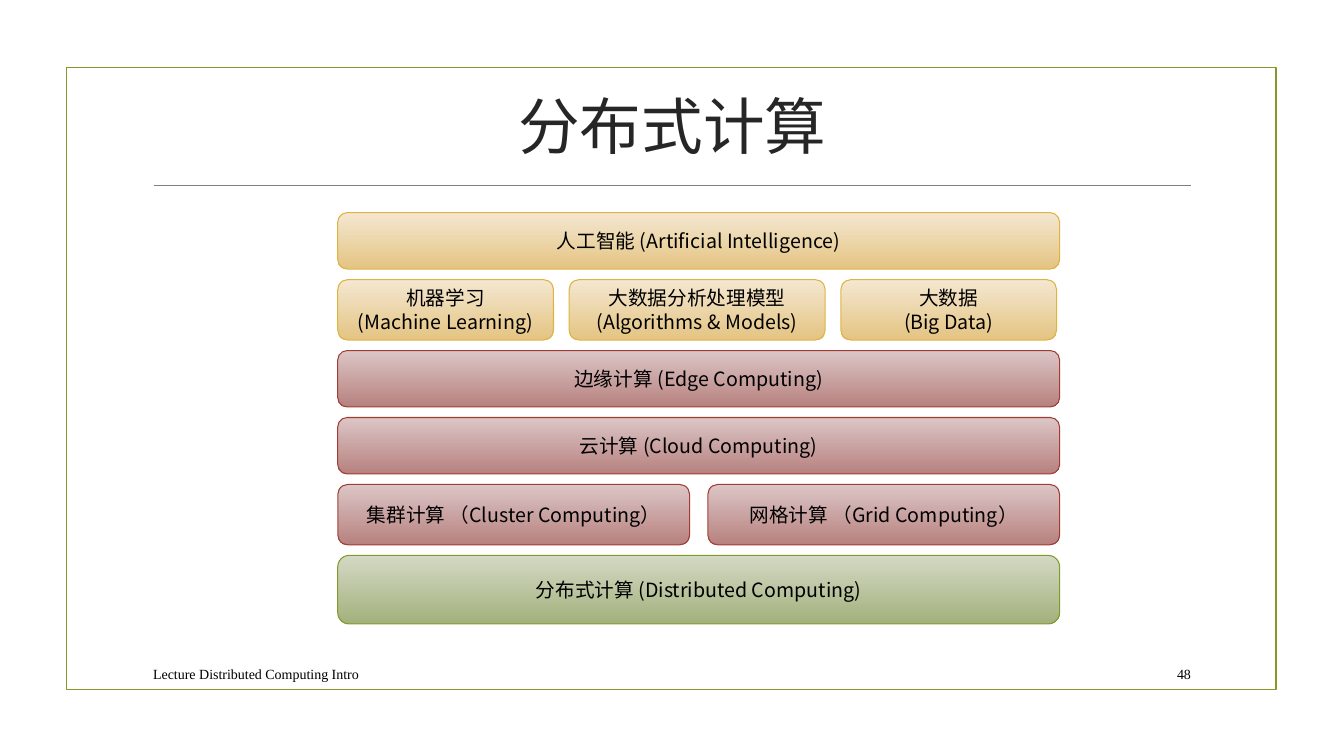
from lxml.etree import SubElement
from pptx import Presentation
from pptx.dml.color import RGBColor
from pptx.enum.shapes import MSO_CONNECTOR as Connector, MSO_SHAPE as Shape
from pptx.enum.text import MSO_ANCHOR as Anchor, PP_ALIGN as Align
from pptx.oxml.ns import qn
from pptx.util import Inches, Pt

COLORS = {
    "frame": "83992A",
    "rule": "7F7F7F",
    "title": "262626",
    "text": "000000",
}
# Each theme: gradient top, gradient bottom, outline
THEMES = {
    "gold": ("F4E7D1", "E4C482", "DEB340"),
    "red": ("DCC6C6", "B7817F", "A23C33"),
    "green": ("D3D9C4", "A3B17D", "83992A"),
}
SERIF, SANS = "Times New Roman", "Noto Sans CJK SC"

STACK_LEFT, STACK_TOP, STACK_BOTTOM = 3.35, 2.11, 6.19
FULL = 7.16

# Layers from top to bottom: theme, height, gap between boxes, (width, paragraphs)
LAYERS = [
    ("gold", 0.56, 0, [(FULL, ["人工智能 (Artificial Intelligence)"])]),
    ("gold", 0.6, 0.155, [
        (2.14, ["机器学习", "(Machine Learning)"]),
        (2.54, ["大数据分析处理模型(Algorithms & Models)"]),
        (2.14, ["大数据", "(Big Data)"]),
    ]),
    ("red", 0.56, 0, [(FULL, ["边缘计算 (Edge Computing)"])]),
    ("red", 0.56, 0, [(FULL, ["云计算 (Cloud Computing)"])]),
    ("red", 0.6, 0.18, [
        (3.49, ["集群计算 （Cluster Computing）"]),
        (3.49, ["网格计算 （Grid Computing）"]),
    ]),
    ("green", 0.68, 0, [(FULL, ["分布式计算 (Distributed Computing)"])]),
]


def rgb(value):
    return RGBColor.from_string(value)


def write(frame, paragraphs, size, font, color, align):
    frame.word_wrap = True
    frame.vertical_anchor = Anchor.MIDDLE
    for index, text in enumerate(paragraphs):
        paragraph = frame.add_paragraph() if index else frame.paragraphs[0]
        paragraph.alignment = align
        run = paragraph.add_run()
        run.text = text
        run.font.size = Pt(size)
        run.font.name = font
        run.font.color.rgb = rgb(color)
        # Chinese characters take the East Asian font
        SubElement(run.font._element, qn("a:ea")).set("typeface", SANS)


def add_label(slide, box, text, size, color, align):
    label = slide.shapes.add_textbox(*map(Inches, box))
    write(label.text_frame, [text], size, SERIF, color, align)


def add_frame(slide):
    border = slide.shapes.add_shape(
        Shape.RECTANGLE, Inches(0.66), Inches(0.67), Inches(12), Inches(6.17))
    border.shadow.inherit = False
    border.fill.background()
    border.line.color.rgb = rgb(COLORS["frame"])
    border.line.width = Pt(1.25)


def add_title_rule(slide):
    rule = slide.shapes.add_connector(
        Connector.STRAIGHT, Inches(1.53), Inches(1.84), Inches(11.81), Inches(1.84))
    rule.line.color.rgb = rgb(COLORS["rule"])
    rule.line.width = Pt(0.75)
    SubElement(rule._element.spPr, qn("a:effectLst"))


def add_block(slide, box, theme, paragraphs):
    top_color, bottom_color, outline = THEMES[theme]
    block = slide.shapes.add_shape(Shape.ROUNDED_RECTANGLE, *map(Inches, box))
    block.shadow.inherit = False
    block.fill.gradient()
    block.fill.gradient_angle = 270
    for stop, color in zip(block.fill.gradient_stops, (top_color, bottom_color)):
        stop.color.rgb = rgb(color)
    block.line.color.rgb = rgb(outline)
    block.line.width = Pt(0.75)
    write(block.text_frame, paragraphs, 14, SANS, COLORS["text"], Align.CENTER)


def add_stack(slide):
    heights = sum(height for _, height, _, _ in LAYERS)
    layer_gap = (STACK_BOTTOM - STACK_TOP - heights) / (len(LAYERS) - 1)
    top = STACK_TOP
    for theme, height, gap, blocks in LAYERS:
        left = STACK_LEFT
        for width, paragraphs in blocks:
            add_block(slide, (left, top, width, height), theme, paragraphs)
            left += width + gap
        top += height + layer_gap


def main():
    deck = Presentation()
    deck.slide_width, deck.slide_height = Inches(13.33), Inches(7.5)
    slide = deck.slides.add_slide(deck.slide_layouts[6])

    # Frame and heading
    add_frame(slide)
    add_title_rule(slide)
    add_label(slide, (1.42, 0.72, 10.5, 1.04), "分布式计算", 44,
              COLORS["title"], Align.CENTER)

    # Footer and page number
    add_label(slide, (1.42, 6.53, 7.99, 0.31), "Lecture Distributed Computing Intro",
              10, COLORS["text"], Align.LEFT)
    add_label(slide, (11.32, 6.53, 0.59, 0.31), "48", 10, COLORS["text"], Align.RIGHT)

    # Technology layers
    add_stack(slide)
    deck.save("out.pptx")


if __name__ == "__main__":
    main()
